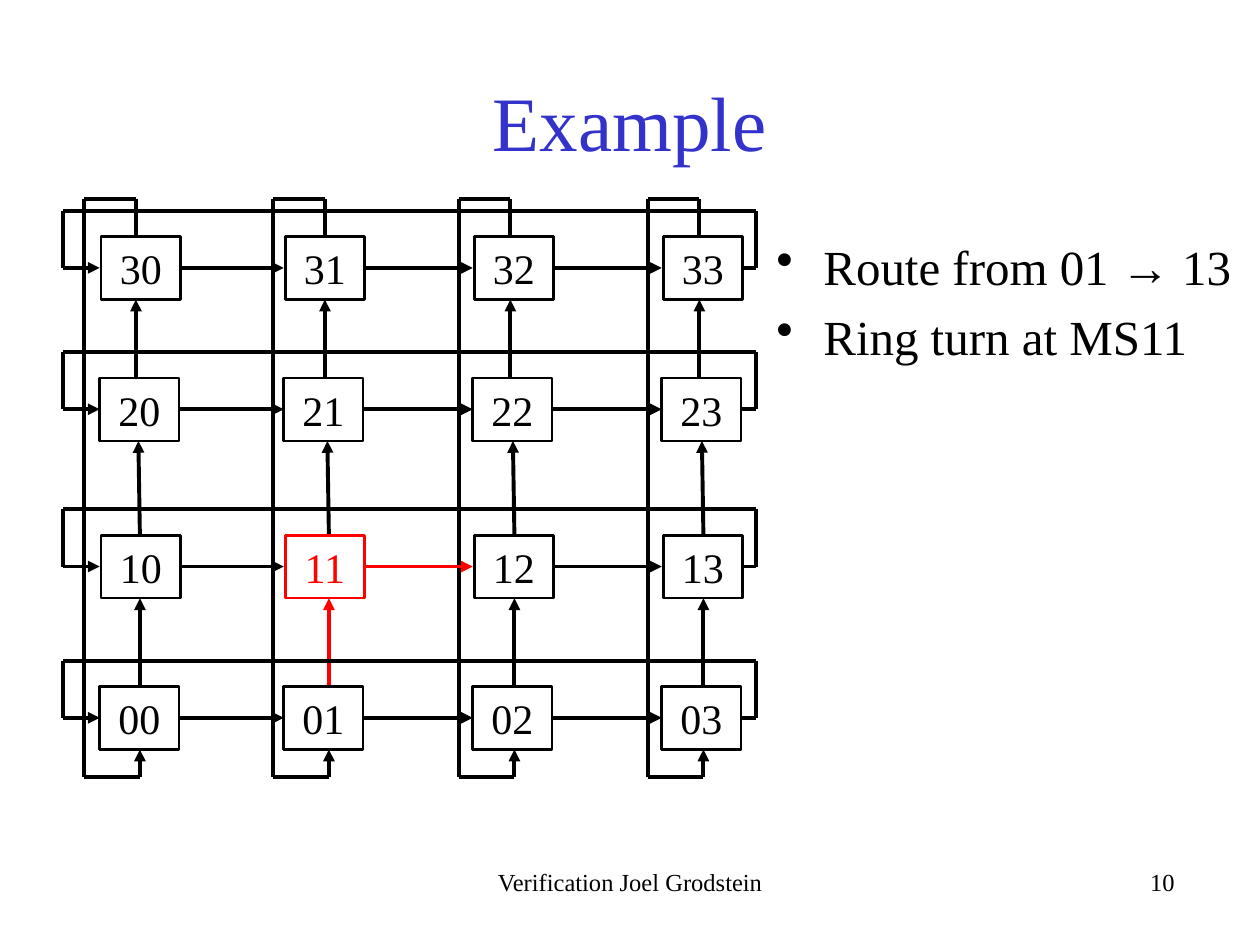
from dataclasses import dataclass

import lxml.etree
import pptx
import pptx.dml.color
import pptx.enum.shapes
import pptx.enum.text
import pptx.oxml.ns
import pptx.util

Cm, Pt = pptx.util.Cm, pptx.util.Pt
RGB = pptx.dml.color.RGBColor.from_string
ALIGN = pptx.enum.text.PP_ALIGN
ANCHOR = pptx.enum.text.MSO_ANCHOR
qn = pptx.oxml.ns.qn


@dataclass(frozen=True)
class Theme:
    """Colours, font and sizes used on the slide."""
    font: str = "Times New Roman"
    ink: str = "000000"
    title: str = "3333CC"
    route: str = "FF0000"
    paper: str = "FFFFFF"
    title_pt: float = 44
    body_pt: float = 28
    node_pt: float = 24
    footer_pt: float = 14
    wire_pt: float = 2.25
    border_pt: float = 1.5


T = Theme()

# Mesh layout in cm, relative to the mesh box; rows are numbered from the bottom.
NODE_W, NODE_H = 1.6, 1.27
NODE_X = [0.74, 4.45, 8.26, 12.07]
NODE_Y = [9.83, 6.78, 3.61, 0.76]
RING_X = [0.43, 4.24, 7.98, 11.79]
ODD_ROW_SHIFT = 0.03
PORT_Y = 0.63              # row wire below the top of a node
LOOP_RISE = 1.15           # row loop above its wire
PORT_TOP, PORT_MID, PORT_LOW = 1.04, 1.09, 1.12   # column wires right of the ring
TURN = "11"
ROUTE = {("01", "11"), ("11", "12")}


def style_text(tf, size, color, align, anchor=ANCHOR.TOP):
    """Format all the text of a frame alike."""
    tf.vertical_anchor = anchor
    for p in tf.paragraphs:
        p.alignment = align
        for r in p.runs:
            r.font.name, r.font.size = T.font, Pt(size)
            r.font.color.rgb = RGB(color)


def add_text(s, box, text, size, color, align, anchor=ANCHOR.TOP):
    """Add a wrapping text box and return its frame."""
    tf = s.shapes.add_textbox(*map(Cm, box)).text_frame
    tf.word_wrap = True
    tf.text = text
    style_text(tf, size, color, align, anchor)
    return tf


def add_bullets(s, box, lines):
    """Add the bulleted body text."""
    tf = add_text(s, box, "\n".join(lines), T.body_pt, T.ink, ALIGN.LEFT)
    for p in tf.paragraphs:
        p.space_before = Pt(6.4)
        pPr = p._p.get_or_add_pPr()
        pPr.set("marL", str(Cm(0.95)))
        pPr.set("indent", str(-Cm(0.95)))
        lxml.etree.SubElement(pPr, qn("a:buChar"), char="\u2022")


def add_wire(s, box, start, end, color=T.ink, arrow=False):
    """Join two points, given relative to the box, by a straight wire."""
    ends = [Cm(o + d) for pt in (start, end) for o, d in zip(box, pt)]
    c = s.shapes.add_connector(pptx.enum.shapes.MSO_CONNECTOR.STRAIGHT, *ends)
    c.line.width = Pt(T.wire_pt)
    c.line.color.rgb = RGB(color)
    if arrow:
        lxml.etree.SubElement(c.line._get_or_add_ln(), qn("a:tailEnd"), type="triangle")
    lxml.etree.SubElement(c._element.spPr, qn("a:effectLst"))


def add_path(s, box, points, arrow=False):
    """Add a chain of wires, with an arrowhead on the last if asked."""
    last = len(points) - 2
    for i, (a, b) in enumerate(zip(points, points[1:])):
        add_wire(s, box, a, b, arrow=arrow and i == last)


def add_hop(s, box, source, target, start, end):
    """Add the arrow from one node to the next, coloured if on the route."""
    color = T.route if (source, target) in ROUTE else T.ink
    add_wire(s, box, start, end, color, arrow=True)


def add_column(s, box, col):
    """Add the vertical ring of one column."""
    x, height = RING_X[col], box[3]
    add_path(s, box, [(x + PORT_TOP, NODE_Y[3]), (x + PORT_TOP, 0), (x, 0), (x, height),
                      (x + PORT_LOW, height), (x + PORT_LOW, NODE_Y[0] + NODE_H)], arrow=True)
    ports = [(PORT_LOW, PORT_LOW), (PORT_LOW, PORT_MID), (PORT_TOP, PORT_TOP)]
    for row, (low, high) in enumerate(ports):
        add_hop(s, box, f"{row}{col}", f"{row + 1}{col}",
                (x + low, NODE_Y[row]), (x + high, NODE_Y[row + 1] + NODE_H))


def add_row(s, box, row):
    """Add the horizontal ring of one row."""
    y, width = NODE_Y[row] + PORT_Y, box[2]
    add_path(s, box, [(NODE_X[3] + NODE_W, y), (width, y), (width, y - LOOP_RISE),
                      (0, y - LOOP_RISE), (0, y), (NODE_X[0], y)], arrow=True)
    for col in range(3):
        add_hop(s, box, f"{row}{col}", f"{row}{col + 1}",
                (NODE_X[col] + NODE_W, y), (NODE_X[col + 1], y))


def add_node(s, box, row, col):
    """Add one numbered mesh stop."""
    label = f"{row}{col}"
    color = T.route if label == TURN else T.ink
    x = box[0] + NODE_X[col] + ODD_ROW_SHIFT * (row % 2)
    sp = s.shapes.add_shape(pptx.enum.shapes.MSO_SHAPE.RECTANGLE, Cm(x),
                            Cm(box[1] + NODE_Y[row]), Cm(NODE_W), Cm(NODE_H))
    sp.shadow.inherit = False
    sp.fill.solid()
    sp.fill.fore_color.rgb = RGB(T.paper)
    sp.line.color.rgb = RGB(color)
    sp.line.width = Pt(T.border_pt)
    sp.text_frame.word_wrap = False
    sp.text_frame.text = label
    style_text(sp.text_frame, T.node_pt, color, ALIGN.CENTER)


def add_mesh(s, box):
    """Add the mesh of stops: column rings, stops, then row rings."""
    for col in range(4):
        add_column(s, box, col)
    for row in range(4):
        for col in range(4):
            add_node(s, box, row, col)
    for row in range(4):
        add_row(s, box, row)


def add_footer(s, box, text, number):
    """Add the centred footer and, to its right, the slide number."""
    x, y, w, h = box
    add_text(s, box, text, T.footer_pt, T.ink, ALIGN.CENTER)
    add_text(s, (x + 7.2, y, w, h), number, T.footer_pt, T.ink, ALIGN.RIGHT)


def build():
    """Build and save the slide."""
    prs = pptx.Presentation()
    prs.slide_width, prs.slide_height = Cm(25.4), Cm(19.05)
    s = prs.slides.add_slide(prs.slide_layouts[6])
    add_text(s, (1.9, 0.85, 21.6, 3.17), "Example", T.title_pt, T.title,
             ALIGN.CENTER, ANCHOR.MIDDLE)
    add_mesh(s, (1.27, 4.01, 13.97, 11.66))
    add_bullets(s, (15.4, 4.65, 9.93, 9.17), ["Route from 01 \u2192 13", "Ring turn at MS11"])
    add_footer(s, (8.68, 17.35, 8.05, 1.27), "Verification Joel Grodstein", "10")
    prs.save("out.pptx")


build()
